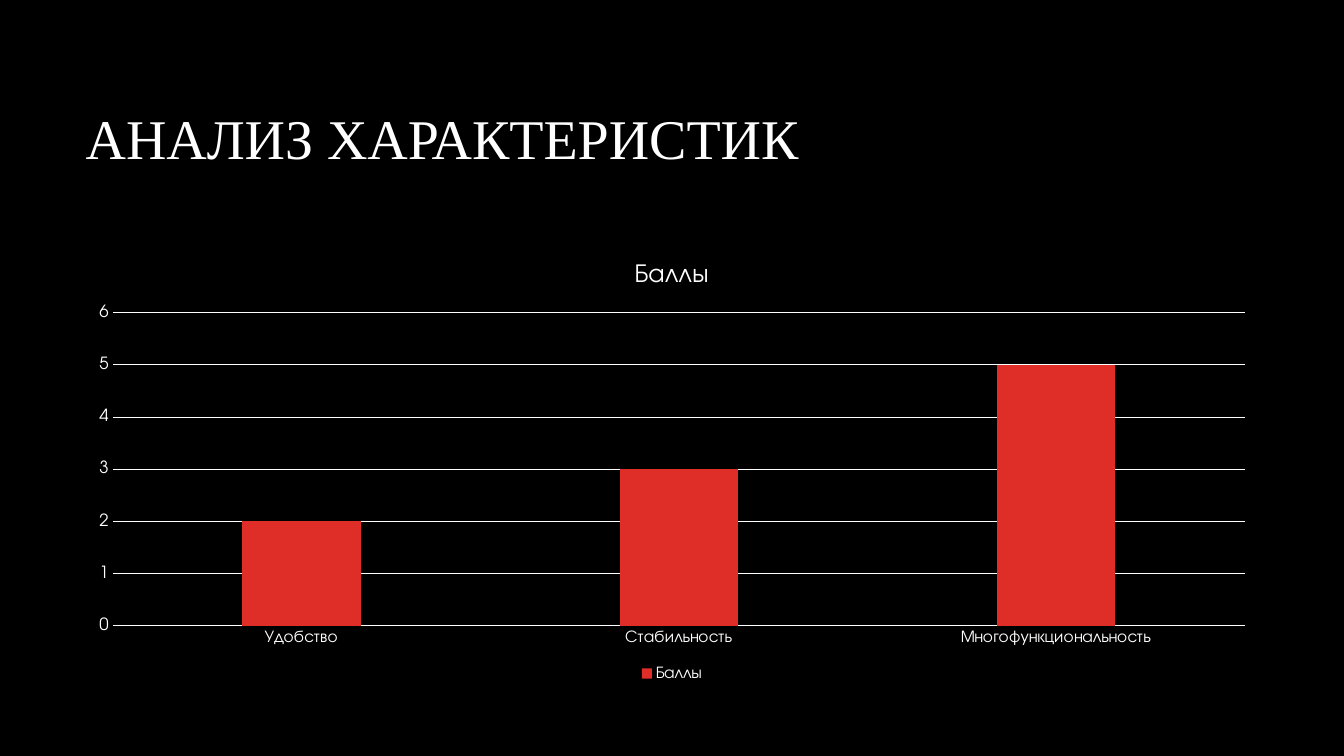
import pptx
import pptx.util
import pptx.dml.color
import pptx.chart.data
import pptx.enum.chart
import pptx.enum.text

Pt = pptx.util.Pt
RGBColor = pptx.dml.color.RGBColor
BLACK = RGBColor(0x00, 0x00, 0x00)
WHITE = RGBColor(0xFF, 0xFF, 0xFF)
RED = RGBColor(0xDF, 0x2E, 0x28)
SANS = "TeX Gyre Adventor"
SERIF = "Times New Roman"


def style(font, size, name=SANS):
    font.size = Pt(size)
    font.name = name
    font.bold = False
    font.color.rgb = WHITE


def rule(line):
    line.color.rgb = WHITE
    line.width = Pt(0.75)


deck = pptx.Presentation()
deck.slide_width = Pt(960)
deck.slide_height = Pt(540)
slide = deck.slides.add_slide(deck.slide_layouts[5])
slide.background.fill.solid()
slide.background.fill.fore_color.rgb = BLACK

title = slide.shapes.title
title.left, title.top = Pt(54), Pt(50.4)
title.width, title.height = Pt(678), Pt(101.5)
frame = title.text_frame
frame.text = "АНАЛИЗ ХАРАКТЕРИСТИК"
frame.word_wrap = True
frame.vertical_anchor = pptx.enum.text.MSO_ANCHOR.MIDDLE
head = frame.paragraphs[0]
head.alignment = pptx.enum.text.PP_ALIGN.LEFT
head.line_spacing = 0.9
style(head.runs[0].font, 40, SERIF)

data = pptx.chart.data.CategoryChartData()
data.categories = ["Удобство", "Стабильность", "Многофункциональность"]
data.add_series("Баллы", [2, 3, 5])
chart = slide.shapes.add_chart(
    pptx.enum.chart.XL_CHART_TYPE.COLUMN_CLUSTERED,
    Pt(54), Pt(172.8), Pt(852), Pt(316.8), data).chart
style(chart.font, 10)

chart.has_title = True
label = chart.chart_title.text_frame
label.text = "Баллы"
style(label.paragraphs[0].runs[0].font, 18.6)
chart.chart_title.include_in_layout = False

chart.has_legend = True
chart.legend.position = pptx.enum.chart.XL_LEGEND_POSITION.BOTTOM
chart.legend.include_in_layout = False
style(chart.legend.font, 12)

for axis in (chart.category_axis, chart.value_axis):
    axis.major_tick_mark = pptx.enum.chart.XL_TICK_MARK.NONE
    axis.minor_tick_mark = pptx.enum.chart.XL_TICK_MARK.NONE
    style(axis.tick_labels.font, 12)
rule(chart.category_axis.format.line)
scale = chart.value_axis
scale.format.line.fill.background()
scale.minimum_scale = 0
scale.maximum_scale = 6
scale.major_unit = 1
scale.has_major_gridlines = True
rule(scale.major_gridlines.format.line)

plot = chart.plots[0]
plot.vary_by_categories = False
plot.gap_width = 219
plot.overlap = -27
bars = plot.series[0]
bars.invert_if_negative = False
bars.format.fill.solid()
bars.format.fill.fore_color.rgb = RED

deck.save("out.pptx")
